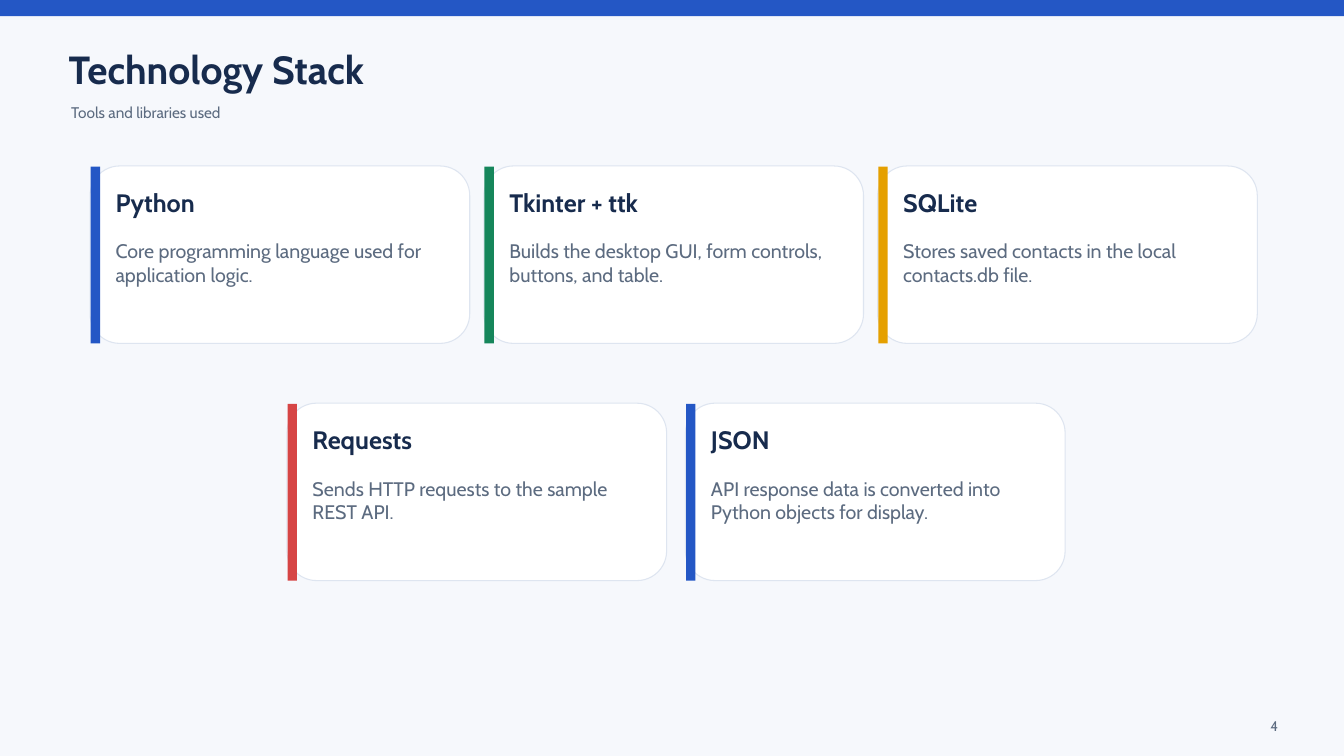
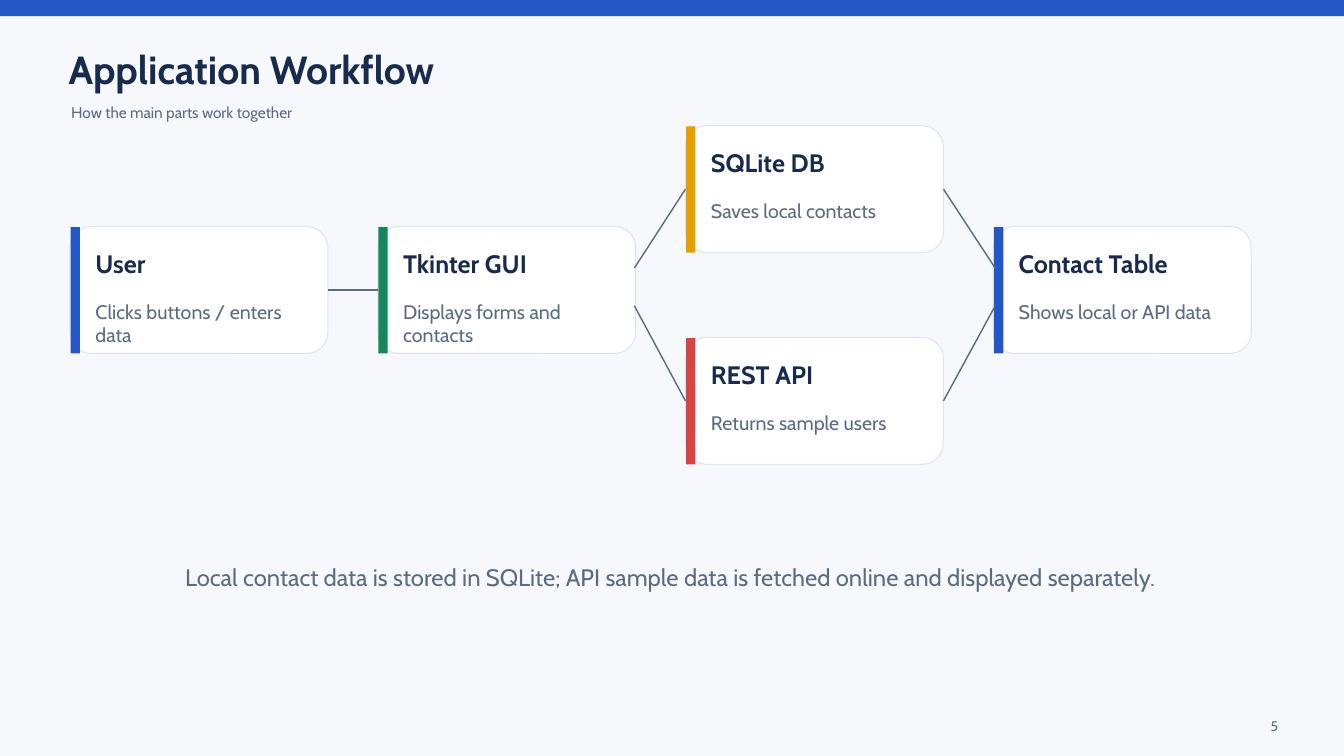
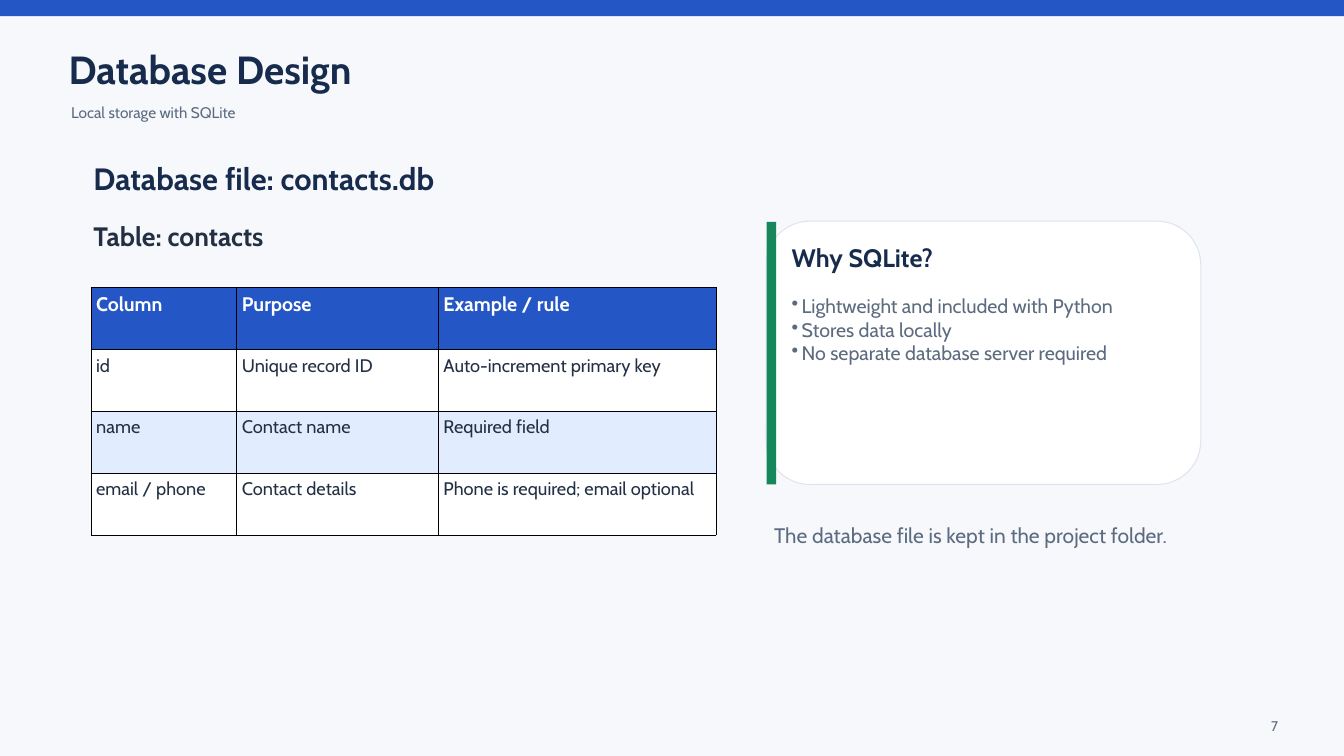
from lxml import etree
from pptx import Presentation
from pptx.dml.color import RGBColor
from pptx.enum.shapes import MSO_CONNECTOR, MSO_SHAPE
from pptx.enum.text import MSO_AUTO_SIZE, PP_ALIGN
from pptx.oxml.ns import qn
from pptx.util import Emu, Pt

STRAIGHT = MSO_CONNECTOR.STRAIGHT
RECTANGLE = MSO_SHAPE.RECTANGLE
ROUNDED = MSO_SHAPE.ROUNDED_RECTANGLE
GROW = MSO_AUTO_SIZE.SHAPE_TO_FIT_TEXT
LEFT, CENTER, RIGHT = PP_ALIGN.LEFT, PP_ALIGN.CENTER, PP_ALIGN.RIGHT
LEFT_SIDE, RIGHT_SIDE = 1, 3

PAPER = RGBColor(0xF6, 0xF8, 0xFC)
WHITE = RGBColor(0xFF, 0xFF, 0xFF)
BLUE = RGBColor(0x24, 0x57, 0xC5)
GREEN = RGBColor(0x16, 0x86, 0x5B)
AMBER = RGBColor(0xE5, 0xA0, 0x00)
RED = RGBColor(0xD6, 0x45, 0x45)
NAVY = RGBColor(0x17, 0x2B, 0x4D)
INK = RGBColor(0x23, 0x30, 0x44)
SLATE = RGBColor(0x5C, 0x6B, 0x80)
OUTLINE = RGBColor(0xDE, 0xE5, 0xF0)
PALE_BLUE = RGBColor(0xE2, 0xEC, 0xFF)
BLACK = RGBColor(0, 0, 0)

FONT = "Cabin"
LINE_RATIO = 1.2
WIDTH, HEIGHT = 2000, 1125
BULLET_INDENT = 15


def px(length):
    return Emu(length * 9144)


class Deck:
    def __init__(self):
        self.prs = Presentation()
        self.prs.slide_width, self.prs.slide_height = px(WIDTH), px(HEIGHT)
        self.slide = None

    def new_slide(self, title, subtitle, number):
        self.slide = self.prs.slides.add_slide(self.prs.slide_layouts[6])
        background = self.slide.background.fill
        background.solid()
        background.fore_color.rgb = PAPER
        self.block(RECTANGLE, 0, 0, WIDTH, 24, BLUE)
        self.text(102, 67, 1763, 75, [title], 42, NAVY, bold=True)
        self.text(106, 154, 1733, 37, [subtitle], 16.5, SLATE)
        self.text(1835, 1067, 67, 22, [str(number)], 15, SLATE, align=RIGHT)

    def block(self, kind, left, top, width, height, fill, outline=None):
        shape = self.slide.shapes.add_shape(kind, px(left), px(top), px(width), px(height))
        shape.shadow.inherit = False
        shape.fill.solid()
        shape.fill.fore_color.rgb = fill
        if outline is None:
            shape.line.fill.background()
        else:
            shape.line.color.rgb = outline
            shape.line.width = Pt(1.13)
        return shape

    def add_lines(self, frame, lines, size, color, bold=False, align=LEFT, bulleted=False):
        frame.word_wrap = True
        for index, line in enumerate(lines):
            paragraph = frame.paragraphs[0] if index == 0 else frame.add_paragraph()
            if bulleted:
                properties = paragraph._p.get_or_add_pPr()
                properties.set("marL", str(px(BULLET_INDENT)))
                properties.set("indent", str(px(-BULLET_INDENT)))
                etree.SubElement(properties, qn("a:buChar")).set("char", "•")
            paragraph.alignment = align
            paragraph.line_spacing = Pt(size * LINE_RATIO)
            run = paragraph.add_run()
            run.text = line
            run.font.name = FONT
            run.font.size = Pt(size)
            run.font.bold = bold
            run.font.color.rgb = color

    def text(self, left, top, width, height, lines, size, color, **style):
        frame = self.slide.shapes.add_textbox(px(left), px(top), px(width), px(height)).text_frame
        frame.margin_left = frame.margin_right = frame.margin_top = frame.margin_bottom = 0
        self.add_lines(frame, lines, size, color, **style)
        frame.auto_size = GROW

    def card(self, left, top, width, height, accent, heading, lines, bulleted=False):
        panel = self.block(ROUNDED, left, top, width, height, WHITE, OUTLINE)
        self.block(RECTANGLE, left + 1, top + 1, 14, height - 1, accent)
        self.text(left + 38, top + 32, width - 70, 55, [heading], 27, NAVY, bold=True)
        self.text(left + 38, top + 109, width - 73, height - 131, lines, 21, SLATE,
                  bulleted=bulleted)
        return panel

    def link(self, start, end, source=None, target=None):
        connector = self.slide.shapes.add_connector(STRAIGHT, *map(px, start + end))
        connector.line.color.rgb = SLATE
        connector.line.width = Pt(1.5)
        etree.SubElement(connector._element.spPr, qn("a:effectLst"))
        if source is not None:
            connector.begin_connect(source, RIGHT_SIDE)
        if target is not None:
            connector.end_connect(target, LEFT_SIDE)

    def border(self, cell):
        properties = cell._tc.get_or_add_tcPr()
        for side in ("a:lnL", "a:lnR", "a:lnT", "a:lnB"):
            edge = etree.SubElement(properties, qn(side))
            edge.set("w", str(Pt(0.37)))
            paint = etree.SubElement(edge, qn("a:solidFill"))
            etree.SubElement(paint, qn("a:srgbClr")).set("val", str(BLACK))

    def table(self, left, top, column_widths, row_height, rows):
        grid = self.slide.shapes.add_table(
            len(rows), len(column_widths), px(left), px(top),
            px(sum(column_widths)), px(row_height * len(rows))).table
        grid.horz_banding = False
        for column, width in zip(grid.columns, column_widths):
            column.width = px(width)
        for r, values in enumerate(rows):
            grid.rows[r].height = px(row_height)
            header = r == 0
            fill = BLUE if header else (WHITE if r % 2 else PALE_BLUE)
            for c, value in enumerate(values):
                cell = grid.cell(r, c)
                cell.margin_left = cell.margin_right = px(8)
                cell.margin_top = cell.margin_bottom = px(8)
                self.border(cell)
                cell.fill.solid()
                cell.fill.fore_color.rgb = fill
                self.add_lines(cell.text_frame, [value], 21 if header else 19.5,
                               WHITE if header else INK, bold=header)


def technology_stack(deck):
    deck.new_slide("Technology Stack", "Tools and libraries used", 4)
    tool_rows = [
        (134, 247, 586, [
            (BLUE, "Python", "Core programming language used for application logic."),
            (GREEN, "Tkinter + ttk",
             "Builds the desktop GUI, form controls, buttons, and table."),
            (AMBER, "SQLite", "Stores saved contacts in the local contacts.db file."),
        ]),
        (427, 600, 593, [
            (RED, "Requests", "Sends HTTP requests to the sample REST API."),
            (BLUE, "JSON", "API response data is converted into Python objects for display."),
        ]),
    ]
    for left, top, pitch, tools in tool_rows:
        for index, (accent, tool, role) in enumerate(tools):
            deck.card(left + index * pitch, top, 565, 264, accent, tool, [role])


def application_workflow(deck):
    deck.new_slide("Application Workflow", "How the main parts work together", 5)
    parts = [
        (0, 337, BLUE, "User", "Clicks buttons / enters data"),
        (1, 337, GREEN, "Tkinter GUI", "Displays forms and contacts"),
        (2, 187, AMBER, "SQLite DB", "Saves local contacts"),
        (2, 502, RED, "REST API", "Returns sample users"),
        (3, 337, BLUE, "Contact Table", "Shows local or API data"),
    ]
    user, gui, database, api, _ = [
        deck.card(104 + 458 * column, top, 384, 189, accent, part, [role])
        for column, top, accent, part, role in parts]
    deck.link((486, 429), (565, 433), source=user, target=gui)
    deck.link((944, 399), (1023, 282), target=database)
    deck.link((944, 455), (1023, 594), target=api)
    deck.link((1402, 282), (1481, 399), source=database)
    deck.link((1402, 594), (1481, 455), source=api)
    deck.text(139, 837, 1718, 82,
              ["Local contact data is stored in SQLite; API sample data is fetched online "
               "and displayed separately."], 25.5, SLATE, align=CENTER)


def database_design(deck):
    deck.new_slide("Database Design", "Local storage with SQLite", 7)
    deck.text(139, 238, 818, 74, ["Database file: contacts.db"], 33, NAVY, bold=True)
    deck.text(139, 327, 818, 67, ["Table: contacts"], 28.5, INK, bold=True)
    deck.table(135, 428, [217, 300, 413], 92, [
        ("Column", "Purpose", "Example / rule"),
        ("id", "Unique record ID", "Auto-increment primary key"),
        ("name", "Contact name", "Required field"),
        ("email / phone", "Contact details", "Phone is required; email optional"),
    ])
    deck.card(1140, 329, 647, 392, GREEN, "Why SQLite?", [
        "Lightweight and included with Python",
        "Stores data locally",
        "No separate database server required",
    ], bulleted=True)
    deck.text(1152, 777, 607, 97, ["The database file is kept in the project folder."],
              22.5, SLATE)


def main():
    deck = Deck()
    technology_stack(deck)
    application_workflow(deck)
    database_design(deck)
    deck.prs.save("out.pptx")


if __name__ == "__main__":
    main()
